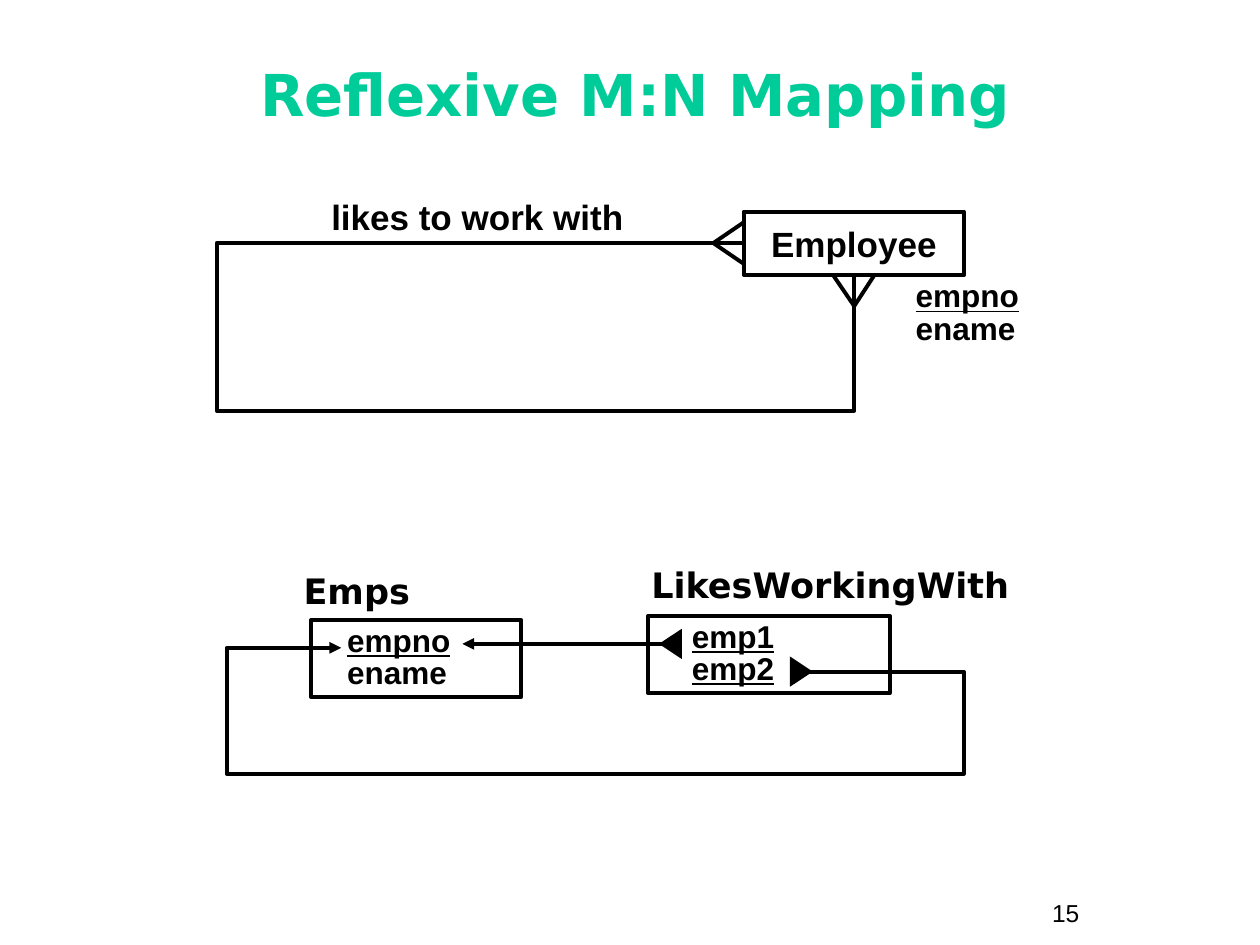
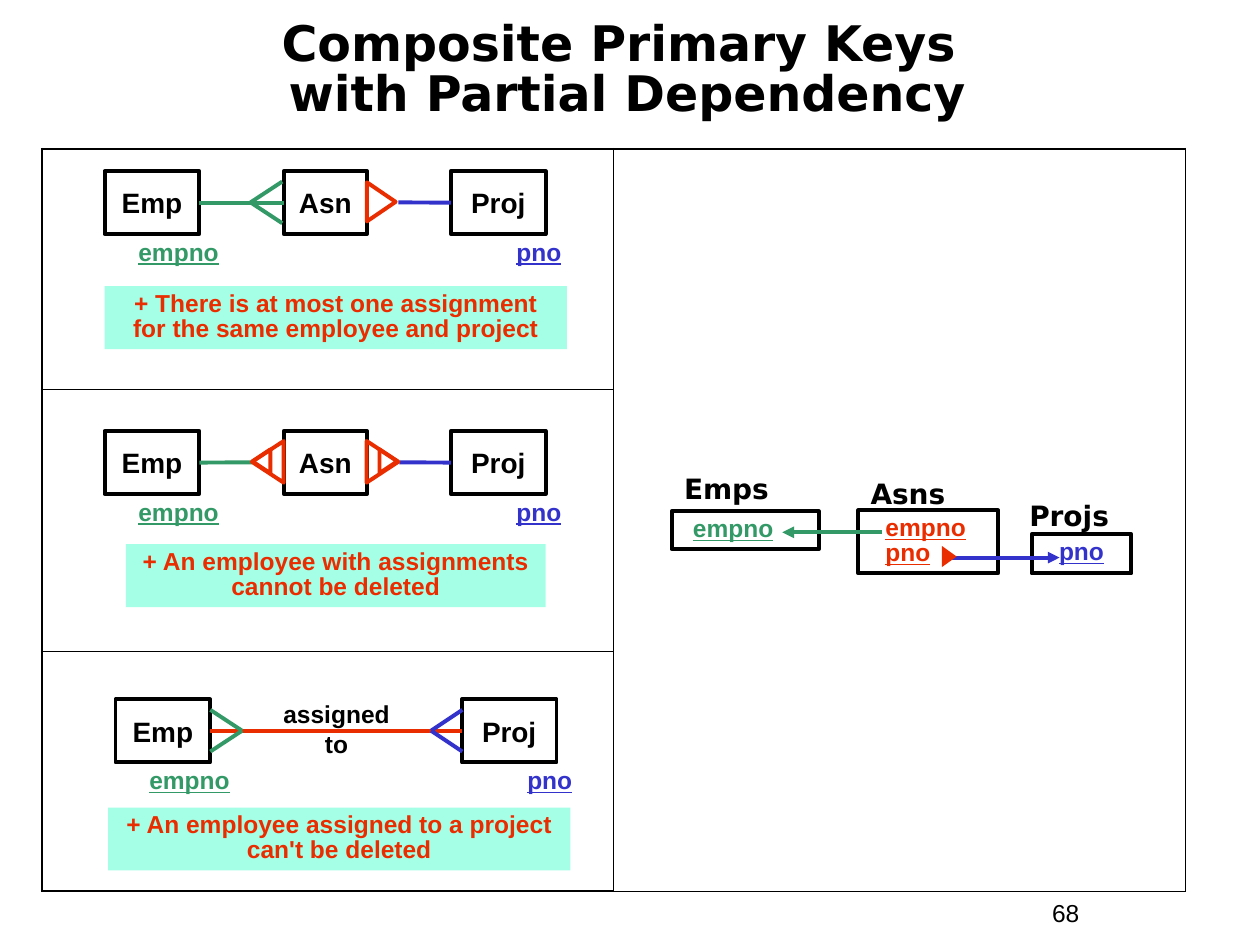
from pptx import Presentation
from pptx import util as u
from pptx.dml.color import RGBColor
from pptx.enum import shapes, text
from pptx.oxml import parse_xml
from pptx.oxml.ns import nsdecls

BLACK, MINT, PALE_MINT = "000000", "00CC99", "A5FFE7"
GREEN, BLUE, RED = "339966", "3333CC", "EA2D00"
RECTANGLE = shapes.MSO_SHAPE.RECTANGLE
TRIANGLE = shapes.MSO_SHAPE.ISOSCELES_TRIANGLE
CENTER = text.PP_ALIGN.CENTER
MIDDLE = text.MSO_ANCHOR.MIDDLE
LEFT_SIDE, BOTTOM_SIDE, RIGHT_SIDE = 1, 2, 3
POINT_LEFT, POINT_RIGHT = 270, 90
HEADING = {"name": "DejaVu Sans", "bold": True}
BODY = {"name": "Arial", "bold": True}
hex_color = RGBColor.from_string


def add_box(slide, place, lines=(), kind=None, outline=None, fill=None, color=BLACK,
            font=BODY, size=14, keys=0, spacing=1.0, indent=0, align=None,
            anchor=text.MSO_ANCHOR.TOP, wrap=True, rotation=0):
    """Add a text box or preset shape; the first `keys` lines are underlined."""
    lengths = [u.Cm(value) for value in place]
    if kind is None:
        shape = slide.shapes.add_textbox(*lengths)
    else:
        shape = slide.shapes.add_shape(kind, *lengths)
        shape.shadow.inherit = False
        shape.rotation = rotation
        if fill:
            shape.fill.solid()
            shape.fill.fore_color.rgb = hex_color(fill)
        else:
            shape.fill.background()
        if outline:
            shape.line.color.rgb = hex_color(outline)
            shape.line.width = u.Pt(2.25)
        else:
            shape.line.fill.background()
    frame = shape.text_frame
    frame_format = {"word_wrap": wrap, "vertical_anchor": anchor,
                    "margin_left": u.Cm(0.25 + indent), "margin_right": u.Cm(0.25),
                    "margin_top": u.Cm(0.13), "margin_bottom": u.Cm(0.13)}
    for name, value in frame_format.items():
        setattr(frame, name, value)
    for index, line in enumerate(lines):
        paragraph = frame.add_paragraph() if index else frame.paragraphs[0]
        paragraph.text = line
        paragraph.alignment = align or text.PP_ALIGN.LEFT
        paragraph.line_spacing = spacing
        font_format = {**font, "size": u.Pt(size), "underline": index < keys}
        for run in paragraph.runs:
            for name, value in font_format.items():
                setattr(run.font, name, value)
            run.font.color.rgb = hex_color(color)
    return shape


def add_line(slide, points, color=BLACK, arrow=False):
    """Add a connector between two points, or an open outline through more."""
    points = [(u.Cm(x), u.Cm(y)) for x, y in points]
    if len(points) == 2:
        line = slide.shapes.add_connector(shapes.MSO_CONNECTOR.STRAIGHT, *points[0], *points[1])
        line._element.spPr.append(parse_xml(f"<a:effectLst {nsdecls('a')}/>"))
    else:
        builder = slide.shapes.build_freeform(*points[0])
        builder.add_line_segments(points[1:], close=False)
        line = builder.convert_to_shape()
        line.shadow.inherit = False
        line.fill.background()
    line.line.color.rgb = hex_color(color)
    line.line.width = u.Pt(2.25)
    if arrow:
        line.line._get_or_add_ln().append(
            parse_xml(f'<a:tailEnd {nsdecls("a")} type="triangle"/>'))
    return line


presentation = Presentation()
presentation.slide_width = u.Cm(25.4)
presentation.slide_height = u.Cm(19.05)

# Titles and page numbers
slides = []
for title, place, color, size, spacing, number in (
        ("Reflexive M:N Mapping", (0.84, 0.84, 23.93, 2.34), MINT, 33, 0.8, "15"),
        ("Composite Primary Keys \vwith Partial Dependency", (0.74, 0.28, 23.8, 2.34),
         BLACK, 28, 0.85, "68")):
    slide = presentation.slides.add_slide(presentation.slide_layouts[6])
    add_box(slide, (20.96, 17.98, 2.34, 0.86), [number], font={"name": "Arial"})
    add_box(slide, place, [title], color=color, font=HEADING, size=size, spacing=spacing,
            align=CENTER, anchor=MIDDLE)
    slides.append(slide)
mapping_slide, keys_slide = slides

# Slide 1: entity with its reflexive relationship
add_box(mapping_slide, (14.99, 4.27, 4.45, 1.27), ["Employee"], RECTANGLE, BLACK,
        size=20, align=CENTER, anchor=MIDDLE, wrap=False)
add_line(mapping_slide, [(14.99, 4.9), (4.37, 4.9), (4.37, 8.28), (17.22, 8.28), (17.22, 5.56)])
for apex, toes in (((17.22, 6.17), [(17.63, 5.54), (16.79, 5.54)]),
                   ((14.38, 4.9), [(15.01, 4.47), (15.01, 5.33)])):
    for toe in toes:
        add_line(mapping_slide, [apex, toe])
add_box(mapping_slide, (6.35, 3.81, 6.55, 1.12), ["likes to work with"], size=20, align=CENTER)
add_box(mapping_slide, (18.21, 5.56, 3.81, 1.55), ["empno", "ename"],
        size=18, keys=1, spacing=0.85)

# Slide 1: tables with their references
for name, name_place, columns, place, keys, indent in (
        ("LikesWorkingWith", (12.88, 11.23, 9.35, 1.12), ["emp1", "emp2"],
         (13.06, 12.42, 4.88, 1.55), 2, 0.64),
        ("Emps", (5.87, 11.35, 5.46, 1.12), ["empno", "ename"],
         (6.27, 12.5, 4.24, 1.55), 1, 0.48)):
    add_box(mapping_slide, name_place, [name], font=HEADING, size=20)
    add_box(mapping_slide, place, columns, RECTANGLE, BLACK,
            size=18, keys=keys, spacing=0.85, indent=indent)
add_line(mapping_slide, [(13.72, 12.98), (9.32, 12.98)], arrow=True)
add_line(mapping_slide, [(15.93, 13.54), (19.43, 13.54), (19.43, 15.6), (4.57, 15.6),
                         (4.57, 13.06), (6.88, 13.06)], arrow=True)
for left, top, rotation in ((13.21, 12.75, POINT_LEFT), (15.85, 13.31, POINT_RIGHT)):
    add_box(mapping_slide, (left, top, 0.61, 0.46), kind=TRIANGLE, fill=BLACK, rotation=rotation)

# Slide 2: frame with three cases on the left and one result on the right
row_heights = (4.85, 5.28, 4.83)
table = keys_slide.shapes.add_table(3, 2, u.Cm(0.84), u.Cm(3), u.Cm(23.06),
                                    u.Cm(sum(row_heights))).table
table.first_row = table.horz_banding = False
for row, height in zip(table.rows, row_heights):
    row.height = u.Cm(height)
for row in range(3):
    for column in range(2):
        cell = table.cell(row, column)
        outer = {"L": column == 0, "R": column == 1, "T": row == 0, "B": row == 2}
        for side, is_outer in outer.items():
            width = u.Pt(1.08 if is_outer else 0.45)
            cell._tc.get_or_add_tcPr().append(parse_xml(
                f'<a:ln{side} {nsdecls("a")} w="{width}"><a:solidFill>'
                f'<a:srgbClr val="{BLACK}"/></a:solidFill></a:ln{side}>'))
        cell.fill.background()
table.cell(0, 1).merge(table.cell(2, 1))

# Slide 2: resulting tables
for name, name_place, columns, place, color, indent in (
        ("Asns", (17.3, 9.47, 3.66, 0.94), ["empno", "pno"], (17.3, 10.29, 2.82, 1.27), RED, 0.3),
        ("Projs", (20.5, 9.93, 2.92, 0.94), ["pno"], (20.8, 10.77, 2.01, 0.79), BLUE, 0.3),
        ("Emps", (13.54, 9.37, 2.34, 0.94), ["empno"], (13.54, 10.31, 2.97, 0.76), GREEN, 0.18)):
    add_box(keys_slide, name_place, [name], font=HEADING, size=16)
    add_box(keys_slide, place, columns, RECTANGLE, BLACK, color=color,
            keys=2, spacing=0.85, indent=indent)
add_line(keys_slide, [(17.78, 10.73), (15.77, 10.73)], GREEN, arrow=True)
add_line(keys_slide, [(19.13, 11.24), (21.36, 11.24)], BLUE, arrow=True)
add_box(keys_slide, (18.92, 11.07, 0.43, 0.3), kind=TRIANGLE, fill=RED, rotation=POINT_RIGHT)

# Slide 2: entities, keys and constraint of each case
cases = []
for top, shift, has_asn, note, note_place in (
        (3.45, 0, True, "+ There is at most one assignment for the same employee and project",
         (2.11, 5.77, 9.32, 1.27)),
        (8.69, 0, True, "+ An employee with assignments cannot be deleted",
         (2.54, 10.97, 8.46, 1.27)),
        (14.1, 0.22, False, "+ An employee assigned to a project can't be deleted",
         (2.18, 16.28, 9.32, 1.27))):
    entities = {}
    for name, left, width in (("Emp", 2.11, 1.91), ("Asn", 5.72, 1.68), ("Proj", 9.09, 1.91)):
        if name != "Asn" or has_asn:
            entities[name] = add_box(keys_slide, (left + shift, top, width, 1.27), [name],
                                     RECTANGLE, BLACK, size=16, align=CENTER, anchor=MIDDLE,
                                     wrap=False)
    for key, left, width, color in (("empno", 2.54, 2.97, GREEN), ("pno", 10.16, 1.91, BLUE)):
        add_box(keys_slide, (left + shift, top + 1.26, width, 0.79), [key], color=color,
                keys=1, spacing=0.9)
    add_box(keys_slide, note_place, [note], RECTANGLE, fill=PALE_MINT, color=RED,
            spacing=0.85, align=CENTER)
    cases.append(entities)

# Slide 2: relationship lines, joined to the entities they touch
for case, start, end, y, color, begin_joint, end_joint in (
        (0, 4.02, 5.72, 4.08, GREEN, ("Emp", RIGHT_SIDE), ("Asn", LEFT_SIDE)),
        (0, 9.09, 8.03, 4.08, BLUE, ("Proj", LEFT_SIDE), None),
        (1, 4.02, 5.08, 9.32, GREEN, ("Emp", RIGHT_SIDE), None),
        (1, 9.09, 8.05, 9.32, BLUE, ("Proj", LEFT_SIDE), None),
        (2, 4.24, 9.31, 14.73, RED, ("Emp", RIGHT_SIDE), ("Proj", LEFT_SIDE))):
    line = add_line(keys_slide, [(start, y), (end, y)], color)
    line.begin_connect(cases[case][begin_joint[0]], begin_joint[1])
    if end_joint:
        line.end_connect(cases[case][end_joint[0]], end_joint[1])

# Slide 2: crow's feet and triangles at the "many" ends
for apex, toe, y, color in ((5.05, 5.69, 4.08, GREEN), (8.69, 9.32, 14.73, BLUE),
                            (4.88, 4.24, 14.73, GREEN)):
    for spread in (-0.42, 0.42):
        add_line(keys_slide, [(apex, y), (toe, y + spread)], color)
for place, rotation in (((7.29, 3.78, 0.79, 0.58), POINT_RIGHT),
                        ((4.98, 8.99, 0.84, 0.64), POINT_LEFT),
                        ((5.03, 9.12, 0.48, 0.36), POINT_LEFT),
                        ((7.29, 8.99, 0.84, 0.64), POINT_RIGHT),
                        ((7.59, 9.12, 0.48, 0.36), POINT_RIGHT)):
    add_box(keys_slide, place, kind=TRIANGLE, outline=RED, rotation=rotation)
add_box(keys_slide, (3.61, 13.97, 6.35, 1.45), ["assigned\vto"], align=CENTER)

presentation.save("out.pptx")
